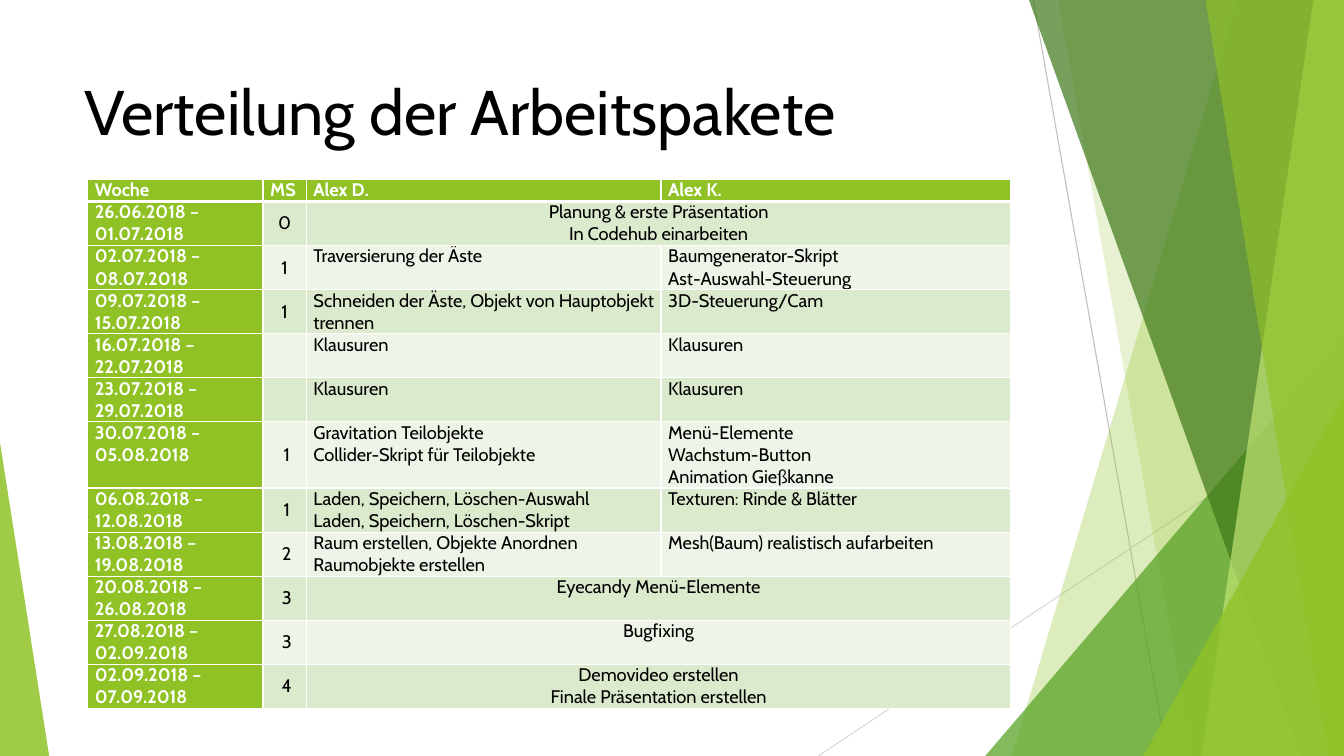
from pptx import Presentation
from pptx.dml.color import RGBColor
from pptx.enum.shapes import MSO_CONNECTOR, MSO_SHAPE
from pptx.enum.text import MSO_ANCHOR, MSO_AUTO_SIZE, PP_ALIGN
from pptx.oxml.ns import qn
from pptx.oxml.xmlchemy import OxmlElement
from pptx.util import Cm, Pt

TRIANGLE, STRAIGHT = MSO_SHAPE.ISOSCELES_TRIANGLE, MSO_CONNECTOR.STRAIGHT
TOP, MIDDLE = MSO_ANCHOR.TOP, MSO_ANCHOR.MIDDLE
LEFT, CENTER = PP_ALIGN.LEFT, PP_ALIGN.CENTER
NO_FIT = MSO_AUTO_SIZE.NONE

WHITE = RGBColor(0xFF, 0xFF, 0xFF)
BLACK = RGBColor(0x00, 0x00, 0x00)
LIME = RGBColor(0x90, 0xC2, 0x26)
LEAF = RGBColor(0x54, 0xA0, 0x21)
FOREST = RGBColor(0x3F, 0x78, 0x19)
PALE_LIME = RGBColor(0xC0, 0xE4, 0x74)
GREY = RGBColor(0xBF, 0xBF, 0xBF)
LIGHT_GREY = RGBColor(0xD9, 0xD9, 0xD9)
BANDS = (RGBColor(0xDB, 0xE9, 0xCD), RGBColor(0xEE, 0xF4, 0xE8))

FONT = "Cabin"
SLIDE_WIDTH, SLIDE_HEIGHT = 33.87, 19.05
LINE_HEIGHT = 0.55
COLUMN_WIDTHS = (4.42, 1.09, 8.94, 8.81)

HEADINGS = ("Woche", "MS", "Alex D.", "Alex K.")
WEEKS = (
    ("26.06.2018 – 01.07.2018", "0", ("Planung & erste Präsentation", "In Codehub einarbeiten"), None),
    ("02.07.2018 – 08.07.2018", "1", ("Traversierung der Äste",),
     ("Baumgenerator-Skript", "Ast-Auswahl-Steuerung")),
    ("09.07.2018 – 15.07.2018", "1", ("Schneiden der Äste, Objekt von Hauptobjekt trennen",),
     ("3D-Steuerung/Cam",)),
    ("16.07.2018 – 22.07.2018", "", ("Klausuren",), ("Klausuren",)),
    ("23.07.2018 – 29.07.2018", "", ("Klausuren",), ("Klausuren",)),
    ("30.07.2018 – 05.08.2018", " 1", ("Gravitation Teilobjekte", "Collider-Skript für Teilobjekte"),
     ("Menü-Elemente", "Wachstum-Button", "Animation Gießkanne")),
    ("06.08.2018 – 12.08.2018", " 1",
     ("Laden, Speichern, Löschen-Auswahl", "Laden, Speichern, Löschen-Skript"),
     ("Texturen: Rinde & Blätter",)),
    ("13.08.2018 – 19.08.2018", " 2", ("Raum erstellen, Objekte Anordnen", "Raumobjekte erstellen"),
     ("Mesh(Baum) realistisch aufarbeiten",)),
    ("20.08.2018 – 26.08.2018", " 3", ("Eyecandy Menü-Elemente",), None),
    ("27.08.2018 – 02.09.2018", " 3", ("Bugfixing",), None),
    ("02.09.2018 – 07.09.2018", " 4", ("Demovideo erstellen", "Finale Präsentation erstellen"), None),
)


def paint(shape, color, opacity):
    """Fill a shape with a partly transparent colour and no outline."""
    shape.shadow.inherit = False
    shape.line.fill.background()
    shape.fill.solid()
    shape.fill.fore_color.rgb = color
    alpha = OxmlElement("a:alpha")
    alpha.set("val", str(opacity * 1000))
    next(shape._element.spPr.iter(qn("a:srgbClr"))).append(alpha)


def add_ray(page, start, end, color):
    """Draw a thin straight line between two points."""
    ray = page.shapes.add_connector(STRAIGHT, *map(Cm, start + end))
    ray.line.color.rgb = color
    ray.line.width = Pt(0.75)
    ray._element.spPr.append(OxmlElement("a:effectLst"))


def add_facet(page, box, top_x, bottom_x, color, opacity):
    """Draw a full-height facet from a slanted left side to the right edge."""
    left, top, width, height = box
    right, bottom = left + width, top + height
    corners = ((right, top), (right, bottom), (left + bottom_x, bottom))
    builder = page.shapes.build_freeform(Cm(left + top_x), Cm(top), 1.0)
    builder.add_line_segments([(Cm(x), Cm(y)) for x, y in corners], close=True)
    paint(builder.convert_to_shape(), color, opacity)


def add_corner(page, box, apex, color, opacity):
    """Draw a right triangle whose tip lies at the given share of its width."""
    corner = page.shapes.add_shape(TRIANGLE, *map(Cm, box))
    corner.adjustments[0] = apex
    paint(corner, color, opacity)


def add_backdrop(page, box):
    """Place the green facets along the edges of the box."""
    left, top, width, height = box
    right, bottom = left + width, top + height
    add_ray(page, (left + 26.04, top), (left + 29.41, bottom), GREY)
    add_ray(page, (right, top + 10.24), (left + 20.62, bottom), LIGHT_GREY)
    add_facet(page, box, 31.19, 25.5, LIME, 30)
    add_facet(page, box, 26.67, 30.05, LIME, 20)
    add_corner(page, (right - 9.04, bottom - 10.59, 9.04, 10.59), 1, LEAF, 72)
    add_facet(page, box, 25.93, 32.79, FOREST, 70)
    add_facet(page, box, 33.1, 30.28, PALE_LIME, 70)
    add_facet(page, box, 30.38, 33.48, LIME, 65)
    add_corner(page, (right - 5.06, bottom - 9.07, 5.06, 9.07), 1, LIME, 80)
    add_corner(page, (left, bottom - 7.9, 1.24, 7.9), 0, LIME, 85)


def add_span(para, text, size, color, bold=False):
    """Add one formatted run to a paragraph."""
    span = para.add_run()
    span.text = text
    span.font.name = FONT
    span.font.size = Pt(size)
    span.font.bold = bold
    span.font.color.rgb = color


def add_title(page, box, text):
    """Move the title placeholder into the box and write the title."""
    title = page.shapes.title
    title.left, title.top, title.width, title.height = map(Cm, box)
    frame = title.text_frame
    frame.word_wrap = True
    frame.auto_size = NO_FIT
    frame.vertical_anchor = TOP
    para = frame.paragraphs[0]
    para.alignment = LEFT
    add_span(para, text, 45, BLACK)


def add_borders(cell, top_width=1, bottom_width=1):
    """Give a cell white borders with the given widths in points."""
    widths = {"a:lnL": 1, "a:lnR": 1, "a:lnT": top_width, "a:lnB": bottom_width}
    for tag, width in widths.items():
        border = OxmlElement(tag)
        border.set("w", str(Pt(width)))
        solid = OxmlElement("a:solidFill")
        color = OxmlElement("a:srgbClr")
        color.set("val", str(WHITE))
        solid.append(color)
        border.append(solid)
        cell._tc.get_or_add_tcPr().append(border)


def fill_cell(cell, lines, fill, color=BLACK, bold=False, align=LEFT, anchor=TOP):
    """Colour a cell and write one paragraph per line."""
    cell.fill.solid()
    cell.fill.fore_color.rgb = fill
    cell.margin_left = cell.margin_right = Cm(0.18)
    cell.margin_top = cell.margin_bottom = 0
    cell.vertical_anchor = anchor
    frame = cell.text_frame
    for index, text in enumerate(lines):
        para = frame.add_paragraph() if index else frame.paragraphs[0]
        para.alignment = align
        if text:
            add_span(para, text, 13, color, bold)


def add_schedule(page, box):
    """Build the table of weeks, milestones and work packages."""
    table = page.shapes.add_table(len(WEEKS) + 1, len(HEADINGS), *map(Cm, box)).table
    table.first_col = True
    table.horz_banding = False
    for column, share in zip(table.columns, COLUMN_WIDTHS):
        column.width = Cm(box[2] * share / sum(COLUMN_WIDTHS))
    table.rows[0].height = Cm(LINE_HEIGHT)
    for cell, heading in zip(table.rows[0].cells, HEADINGS):
        add_borders(cell, bottom_width=3)
        fill_cell(cell, (heading,), LIME, WHITE, bold=True)
    for number, (week, milestone, first, second) in enumerate(WEEKS, 1):
        row = table.rows[number]
        row.height = Cm(LINE_HEIGHT * max(2, len(first), len(second or ())))
        band = BANDS[(number - 1) % 2]
        cells = list(row.cells)
        for cell in cells:
            add_borders(cell, top_width=3 if number == 1 else 1)
        fill_cell(cells[0], (week,), LIME, WHITE, bold=True)
        fill_cell(cells[1], (milestone,), band, align=CENTER, anchor=MIDDLE)
        fill_cell(cells[2], first, band, align=LEFT if second else CENTER)
        fill_cell(cells[3], second or (), band)
        if not second:
            cells[2].merge(cells[3])


def main():
    """Create the deck with its single slide."""
    deck = Presentation()
    deck.slide_width, deck.slide_height = Cm(SLIDE_WIDTH), Cm(SLIDE_HEIGHT)
    page = deck.slides.add_slide(deck.slide_layouts[5])
    add_backdrop(page, (0, 0, SLIDE_WIDTH, SLIDE_HEIGHT))
    add_title(page, (1.88, 1.7, 23.88, 3.66), "Verteilung der Arbeitspakete")
    add_schedule(page, (2.21, 4.52, 23.26, 13.2))
    deck.save("out.pptx")


if __name__ == "__main__":
    main()
